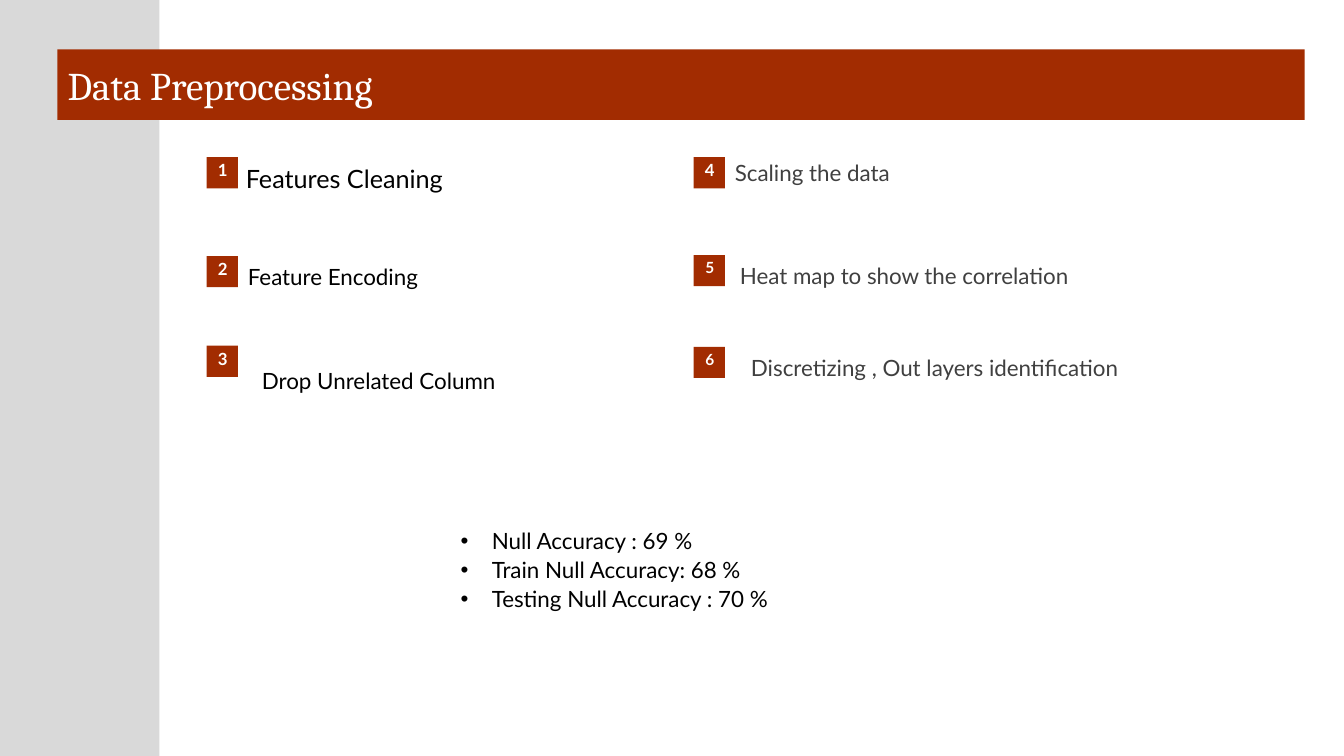
from lxml import etree
from pptx import Presentation
from pptx.dml.color import RGBColor
from pptx.enum.shapes import MSO_SHAPE as Shape
from pptx.enum.text import MSO_ANCHOR as Anchor, MSO_AUTO_SIZE as AutoSize, PP_ALIGN as Align
from pptx.oxml.ns import qn
from pptx.util import Emu, Pt

COLORS = {
    "rust": "A22C01",
    "sidebar": "D9D9D9",
    "white": "FFFFFF",
    "black": "000000",
    "gray": "404040",
}
EMU_PER_PX = 9144  # 100 px to the inch
BADGE_SIZE = 31
BULLET_INDENT = 31
LINE_SPACING = 1.08

# Number, badge left and top, number size
BADGES = [
    ("1", 205, 156, 12),
    ("2", 205, 254, 12),
    ("3", 205, 343, 12),
    ("4", 688, 156, 12),
    ("5", 688, 253, 11),
    ("6", 688, 344, 11),
]

# Text, box, size, colour
STEPS = [
    ("Features Cleaning", (234, 155, 467, 40), 18, "black"),
    ("Feature Encoding", (236, 254, 467, 37), 16, "black"),
    ("Drop Unrelated Column", (250, 357, 467, 37), 16, "black"),
    ("Scaling the data", (719, 151, 521, 67), 16, "gray"),
    ("Heat map to show the correlation", (724, 253, 521, 67), 16, "gray"),
    ("Discretizing , Out layers identification", (735, 344, 521, 67), 16, "gray"),
]

ACCURACIES = [
    "Null Accuracy : 69 %",
    "Train Null Accuracy: 68 %",
    "Testing Null Accuracy : 70 %",
]


def px(value):
    return Emu(value * EMU_PER_PX)


def fill_with(shape, color):
    shape.fill.solid()
    shape.fill.fore_color.rgb = RGBColor.from_string(COLORS[color])


def format_text(paragraph, size, color, font="Lato", bold=False):
    for run in paragraph.runs:
        run.font.name = font
        run.font.size = Pt(size)
        run.font.bold = bold
        run.font.color.rgb = RGBColor.from_string(COLORS[color])


def add_rectangle(shapes, box, color):
    shape = shapes.add_shape(Shape.RECTANGLE, *map(px, box))
    shape.shadow.inherit = False
    fill_with(shape, color)
    shape.line.fill.background()
    return shape


def add_text(shapes, text, box, size, color, bold=False, align=Align.LEFT, spacing=LINE_SPACING):
    text_box = shapes.add_textbox(*map(px, box))
    text_frame = text_box.text_frame
    text_frame.word_wrap = True
    text_frame.text = text
    for paragraph in text_frame.paragraphs:
        paragraph.alignment = align
        paragraph.line_spacing = spacing
        format_text(paragraph, size, color, bold=bold)
    return text_box


def add_bullet(paragraph):
    properties = paragraph._p.get_or_add_pPr()
    properties.set("marL", str(px(BULLET_INDENT)))
    properties.set("indent", str(-px(BULLET_INDENT)))
    bullet_font = etree.SubElement(properties, qn("a:buFont"))
    bullet_font.set("typeface", "Arial")
    etree.SubElement(properties, qn("a:buChar")).set("char", "•")


def add_badge(slide, number, left, top, size):
    group = slide.shapes.add_group_shape()
    add_rectangle(group.shapes, (left, top, BADGE_SIZE, BADGE_SIZE), "rust")
    add_text(group.shapes, number, (left - 5, top - 2, 42, 30), size, "white",
             bold=True, align=Align.CENTER, spacing=1.0)


def add_sidebar(slide):
    sidebar = add_rectangle(slide.shapes, (0, 0, 158, 750), "sidebar")
    title_element = slide.shapes.title._element
    title_element.addprevious(sidebar._element)


def set_title(slide, text):
    title = slide.shapes.title
    title.left, title.top, title.width, title.height = map(px, (57, 49, 1237, 70))
    fill_with(title, "rust")
    text_frame = title.text_frame
    text_frame.text = text
    text_frame.auto_size = AutoSize.NONE
    text_frame.vertical_anchor = Anchor.MIDDLE
    paragraph = text_frame.paragraphs[0]
    paragraph.alignment = Align.LEFT
    format_text(paragraph, 28, "white", font="Cambria")


def main():
    presentation = Presentation()
    presentation.slide_width = px(1333)
    presentation.slide_height = px(750)
    slide = presentation.slides.add_slide(presentation.slide_layouts[5])

    # Sidebar and title bar
    set_title(slide, "Data Preprocessing")
    add_sidebar(slide)

    # Numbered steps
    for badge in BADGES:
        add_badge(slide, *badge)
    for step in STEPS:
        add_text(slide.shapes, *step)

    # Accuracy list
    accuracy_list = add_text(slide.shapes, "\n".join(ACCURACIES), (447, 516, 503, 97), 16, "black")
    for paragraph in accuracy_list.text_frame.paragraphs:
        add_bullet(paragraph)

    presentation.save("out.pptx")


if __name__ == "__main__":
    main()
